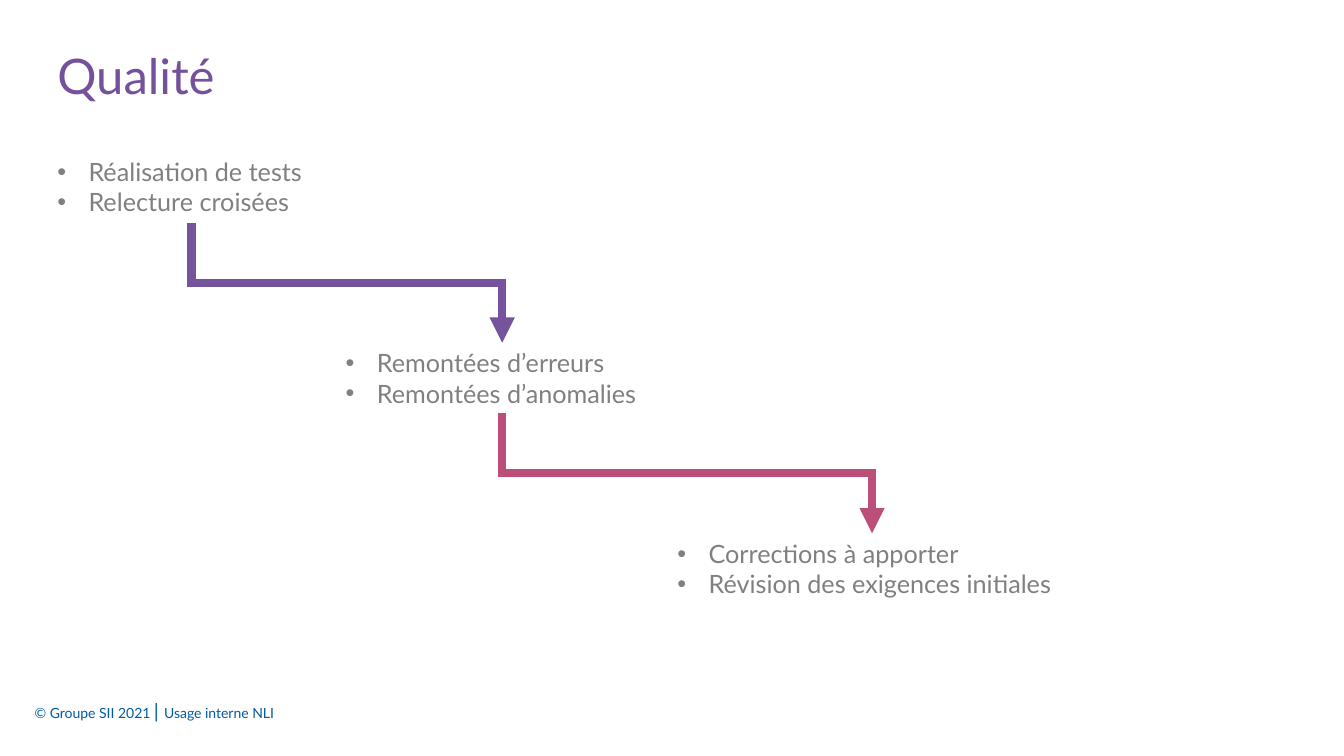
from dataclasses import dataclass

from lxml import etree
from pptx import Presentation
from pptx.dml.color import RGBColor
from pptx.enum.shapes import MSO_CONNECTOR
from pptx.enum.text import MSO_ANCHOR, PP_ALIGN
from pptx.oxml.ns import qn
from pptx.slide import Slide
from pptx.util import Emu, Pt

ELBOW = MSO_CONNECTOR.ELBOW
TOP, MIDDLE = MSO_ANCHOR.TOP, MSO_ANCHOR.MIDDLE
LEFT, CENTER = PP_ALIGN.LEFT, PP_ALIGN.CENTER

EMU_PER_PX = 9144  # 100 px to the inch
FONT = "Lato"
BULLET_INDENT = 31
COLORS = {
    "title": "75519B",
    "text": "808080",
    "footer": "0059A3",
    "purple": "76539D",
    "pink": "BC4F79",
}


@dataclass(frozen=True)
class Step:
    left: int
    top: int
    width: int
    lines: tuple[str, ...]


@dataclass(frozen=True)
class Arrow:
    start: tuple[int, int]
    end: tuple[int, int]
    color: str


STEPS = (
    Step(47, 150, 286, ("Réalisation de tests", "Relecture croisées")),
    Step(333, 340, 328, ("Remontées d’erreurs", "Remontées d’anomalies")),
    Step(662, 529, 407, ("Corrections à apporter", "Révision des exigences initiales")),
)
STEP_HEIGHT = 71
ARROWS = (
    Arrow((190, 221), (498, 340), "purple"),
    Arrow((498, 410), (865, 529), "pink"),
)


def px(length: float) -> Emu:
    return Emu(round(length * EMU_PER_PX))


def add_text(page: Slide, left: int, top: int, width: int, height: int,
             lines: tuple[tuple[tuple[str, int], ...], ...], *, color: str,
             align: PP_ALIGN = LEFT, anchor: MSO_ANCHOR = TOP,
             bullets: bool = False) -> None:
    """Add a text box; each line is a tuple of (text, point size) spans."""
    box = page.shapes.add_textbox(px(left), px(top), px(width), px(height))
    frame = box.text_frame
    frame.word_wrap = True
    frame.vertical_anchor = anchor
    for index, spans in enumerate(lines):
        para = frame.paragraphs[0] if index == 0 else frame.add_paragraph()
        para.alignment = align
        if bullets:
            add_bullet(para)
        for text, size in spans:
            span = para.add_run()
            span.text = text
            span.font.name = FONT
            span.font.size = Pt(size)
            span.font.color.rgb = RGBColor.from_string(COLORS[color])


def add_bullet(para) -> None:
    properties = para._p.get_or_add_pPr()
    properties.set("marL", str(px(BULLET_INDENT)))
    properties.set("indent", str(-px(BULLET_INDENT)))
    etree.SubElement(properties, qn("a:buFont"), typeface="Arial")
    etree.SubElement(properties, qn("a:buChar"), char="•")


def add_arrow(page: Slide, arrow: Arrow) -> None:
    """Draw an elbow that leaves downwards, runs right and ends downwards."""
    (x1, y1), (x2, y2) = arrow.start, arrow.end
    middle_x, middle_y = (x1 + x2) / 2, (y1 + y2) / 2
    half_run, half_drop = (x2 - x1) / 2, (y2 - y1) / 2
    # The unrotated frame has its sides swapped and is mirrored
    connector = page.shapes.add_connector(
        ELBOW, px(middle_x + half_drop), px(middle_y - half_run),
        px(middle_x - half_drop), px(middle_y + half_run))
    connector.line.color.rgb = RGBColor.from_string(COLORS[arrow.color])
    connector.line.width = Pt(6)
    properties = connector._element.spPr
    properties.find(qn("a:xfrm")).set("rot", str(270 * 60000))
    line = properties.find(qn("a:ln"))
    etree.SubElement(line, qn("a:miter"), lim="800000")
    etree.SubElement(line, qn("a:tailEnd"), type="triangle")
    etree.SubElement(properties, qn("a:effectLst"))


def main() -> None:
    deck = Presentation()
    deck.slide_width, deck.slide_height = px(1333), px(750)
    page = deck.slides.add_slide(deck.slide_layouts[6])

    # Footer
    add_text(page, 8, 666, 176, 79, ((("© Groupe SII 2021 ", 10), ("|", 14)),),
             color="footer", align=CENTER, anchor=MIDDLE)
    add_text(page, 153, 668, 315, 79, ((("Usage interne NLI", 10),),),
             color="footer", anchor=MIDDLE)

    # Title
    add_text(page, 47, 40, 871, 69, ((("Qualité", 35),),), color="title")

    # Staircase of steps and the arrows between them
    for step in STEPS:
        add_text(page, step.left, step.top, step.width, STEP_HEIGHT,
                 tuple(((line, 18),) for line in step.lines),
                 color="text", bullets=True)
    for arrow in ARROWS:
        add_arrow(page, arrow)

    deck.save("out.pptx")


if __name__ == "__main__":
    main()
